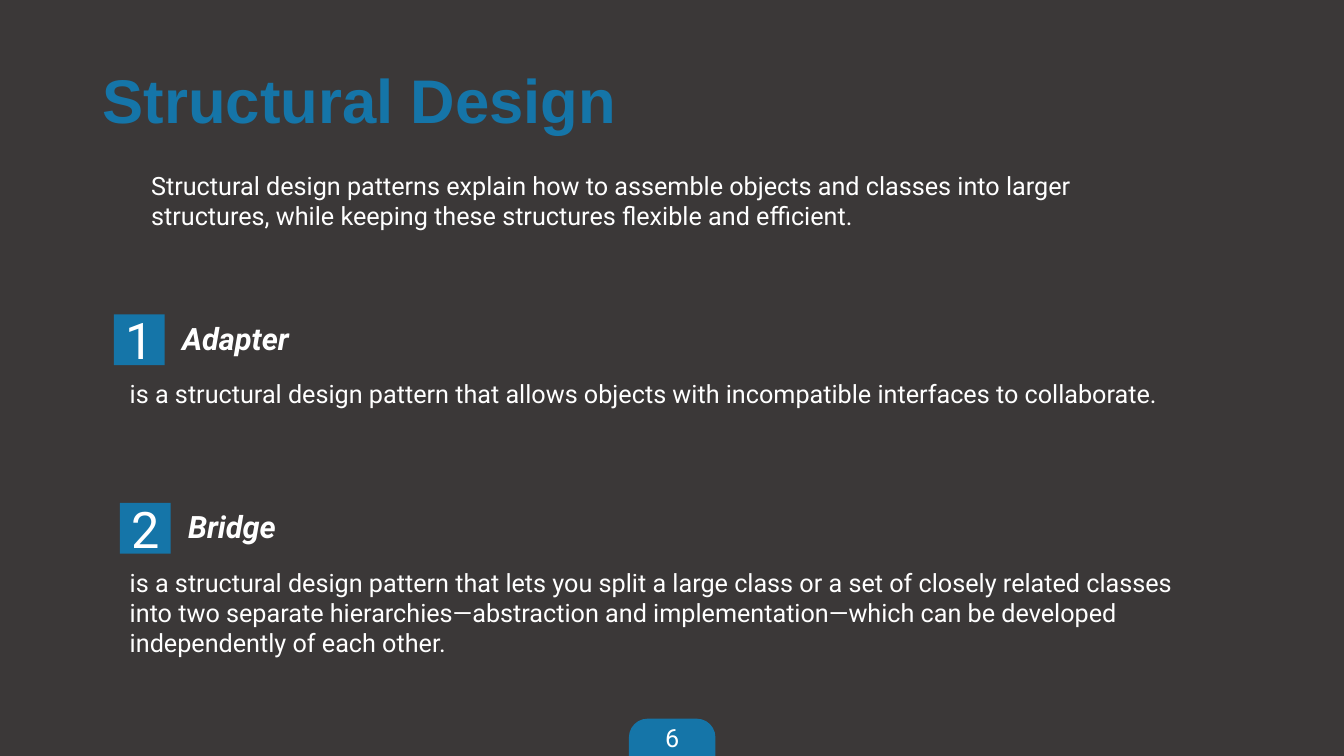
import pptx
import pptx.util
import pptx.dml.color
import pptx.enum.shapes
import pptx.enum.text

Cm = pptx.util.Cm
RGBColor = pptx.dml.color.RGBColor
SHAPE = pptx.enum.shapes.MSO_SHAPE
ANCHOR = pptx.enum.text.MSO_ANCHOR
ALIGN = pptx.enum.text.PP_ALIGN

DARK = RGBColor(0x3B, 0x38, 0x38)
BLUE = RGBColor(0x15, 0x75, 0xA8)
WHITE = RGBColor(0xFF, 0xFF, 0xFF)

INTRO = ("Structural design patterns explain how to assemble objects and classes "
         "into larger structures, while keeping these structures flexible and efficient.")
BODY_LEFT = 3.02
PATTERNS = [
    (2.87, 7.92, "Adapter",
     "is a structural design pattern that allows objects with incompatible "
     "interfaces to collaborate.", 1.8),
    (3.02, 12.67, "Bridge",
     "is a structural design pattern that lets you split a large class or a set of "
     "closely related classes into two separate hierarchies—abstraction and "
     "implementation—which can be developed independently of each other.", 2.57),
]


def write(s, text, size, color=WHITE, name="Roboto", bold=False, italic=False,
          align=ALIGN.LEFT, anchor=ANCHOR.TOP):
    tf = s.text_frame
    tf.word_wrap = True
    tf.auto_size = pptx.enum.text.MSO_AUTO_SIZE.NONE
    tf.vertical_anchor = anchor
    p = tf.paragraphs[0]
    p.text = text
    p.alignment = align
    p.font.size = pptx.util.Pt(size)
    p.font.name = name
    p.font.bold = bold
    p.font.italic = italic
    p.font.color.rgb = color
    return tf


def add_text(slide, x, y, w, h, text, size, **style):
    s = slide.shapes.add_textbox(Cm(x), Cm(y), Cm(w), Cm(h))
    return write(s, text, size, **style)


def add_blue_shape(slide, kind, x, y, w, h, text, size):
    s = slide.shapes.add_shape(kind, Cm(x), Cm(y), Cm(w), Cm(h))
    s.shadow.inherit = False
    s.fill.solid()
    s.fill.fore_color.rgb = BLUE
    s.line.fill.background()
    write(s, text, size, align=ALIGN.CENTER, anchor=ANCHOR.MIDDLE)
    return s


def add_title(slide, x, y, w, h, text):
    s = slide.shapes.title
    s.left, s.top, s.width, s.height = Cm(x), Cm(y), Cm(w), Cm(h)
    tf = write(s, text, 44, color=BLUE, name="Arial", bold=True, anchor=ANCHOR.MIDDLE)
    tf.paragraphs[0].line_spacing = 0.9


def add_pattern(slide, x, y, number, name, text, text_height):
    add_blue_shape(slide, SHAPE.RECTANGLE, x, y, 1.28, 1.28, str(number), 36)
    add_text(slide, x + 1.47, y, 4.17, 1.27, name, 22, bold=True, italic=True)
    add_text(slide, BODY_LEFT, y + 1.5, 27.69, text_height, text, 18)


def add_page_tab(slide, x, y, w, h, number):
    s = add_blue_shape(slide, SHAPE.ROUND_2_SAME_RECTANGLE, x, y, w, h, str(number), 18)
    s.adjustments[0] = 0.5
    s.text_frame.margin_top = 0
    s.text_frame.margin_bottom = Cm(0.14)


def main():
    prs = pptx.Presentation()
    prs.slide_width, prs.slide_height = Cm(33.87), Cm(19.05)
    slide = prs.slides.add_slide(prs.slide_layouts[5])
    slide.background.fill.solid()
    slide.background.fill.fore_color.rgb = DARK
    add_page_tab(slide, 15.85, 18.11, 2.18, 0.94, 6)
    add_title(slide, 2.34, 0.76, 29.21, 3.68, "Structural Design")
    add_text(slide, 3.56, 4.17, 26.72, 2.03, INTRO, 18)
    for number, (x, y, name, text, height) in enumerate(PATTERNS, 1):
        add_pattern(slide, x, y, number, name, text, height)
    prs.save("out.pptx")


if __name__ == "__main__":
    main()
